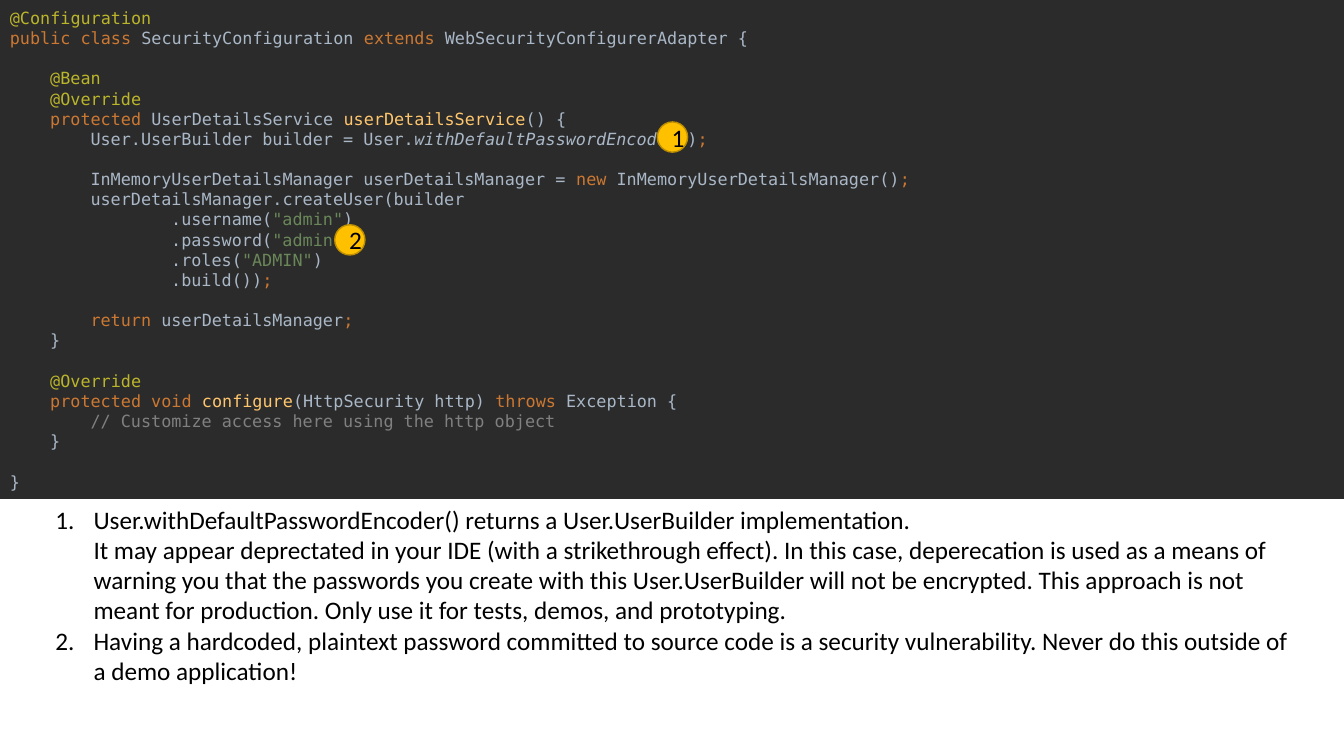
"""Build a slide that explains a security configuration class in two notes."""
import lxml.etree
import pptx
import pptx.dml.color
import pptx.enum.shapes
import pptx.enum.text
import pptx.oxml.ns
import pptx.util

Inches = pptx.util.Inches
Pt = pptx.util.Pt

COLORS = {
    "editor": "2B2B2B", "annotation": "BBB529", "keyword": "CC7832",
    "plain": "A9B7C6", "method": "FFC66D", "string": "6A8759",
    "comment": "808080", "badge": "FFC000", "badge_line": "BD8E00",
    "black": "000000",
}
CODE_FONT, BODY_FONT = "DejaVu Sans Mono", "Calibri"
CODE_LINE = Pt(14.4)
CODE_TAB = 0.4


def rgb(name):
    return pptx.dml.color.RGBColor.from_string(COLORS[name])


def add_text(para, text, font=BODY_FONT, size=18, color="black", italic=False):
    span = para.add_run()
    span.text = text
    span.font.name = font
    span.font.size = Pt(size)
    span.font.italic = italic
    span.font.color.rgb = rgb(color)


def set_indent(para, left, first=0):
    properties = para._p.get_or_add_pPr()
    properties.set("marL", str(Inches(left)))
    properties.set("indent", str(Inches(first)))
    return properties


class SlideWriter:
    def __init__(self, page):
        self.page = page

    def shape(self, kind, left, top, width, height, fill, line=None):
        box = self.page.shapes.add_shape(
            kind, Inches(left), Inches(top), Inches(width), Inches(height))
        box.shadow.inherit = False
        box.fill.solid()
        box.fill.fore_color.rgb = rgb(fill)
        if line:
            box.line.color.rgb = rgb(line)
            box.line.width = Pt(1)
        else:
            box.line.fill.background()
        box.text_frame.word_wrap = True
        box.text_frame.vertical_anchor = pptx.enum.text.MSO_ANCHOR.MIDDLE
        return box.text_frame

    def code(self, left, top, width, height, lines):
        frame = self.shape(pptx.enum.shapes.MSO_SHAPE.RECTANGLE,
                           left, top, width, height, "editor")
        after_gap = False
        para = frame.paragraphs[0]
        for number, line in enumerate(lines):
            if line is None:
                after_gap = True
                continue
            level, *spans = line
            if number:
                para = frame.add_paragraph()
            para.alignment = pptx.enum.text.PP_ALIGN.LEFT
            para.line_spacing = CODE_LINE
            para.space_before = CODE_LINE if after_gap else Pt(0)
            set_indent(para, level * CODE_TAB)
            for color, text in spans:
                italic = color == "static"
                add_text(para, text, font=CODE_FONT, size=12,
                         color="plain" if italic else color, italic=italic)
            after_gap = False

    def badge(self, left, top, label):
        frame = self.shape(pptx.enum.shapes.MSO_SHAPE.OVAL,
                           left, top, 0.3, 0.3, "badge", "badge_line")
        para = frame.paragraphs[0]
        para.alignment = pptx.enum.text.PP_ALIGN.CENTER
        add_text(para, label)

    def numbered_list(self, left, top, width, height, items):
        frame = self.page.shapes.add_textbox(
            Inches(left), Inches(top), Inches(width), Inches(height)).text_frame
        frame.word_wrap = True
        for number, item in enumerate(items):
            para = frame.add_paragraph() if number else frame.paragraphs[0]
            properties = set_indent(para, 0.38, -0.38)
            bullet = lxml.etree.SubElement(
                properties, pptx.oxml.ns.qn("a:buAutoNum"))
            bullet.set("type", "arabicPeriod")
            for row, text in enumerate(item):
                if row:
                    para.add_line_break()
                add_text(para, text)


OVERRIDE = (1, ("annotation", "@Override"))
END_METHOD = (1, ("plain", "}"))
CODE = [
    (0, ("annotation", "@Configuration")),
    (0, ("keyword", "public class "), ("plain", "SecurityConfiguration "),
     ("keyword", "extends "), ("plain", "WebSecurityConfigurerAdapter {")),
    None,
    (1, ("annotation", "@Bean")),
    OVERRIDE,
    (1, ("keyword", "protected "), ("plain", "UserDetailsService "),
     ("method", "userDetailsService"), ("plain", "() {")),
    (2, ("plain", "User.UserBuilder builder = User."),
     ("static", "withDefaultPasswordEncoder"), ("plain", "()"), ("keyword", ";")),
    None,
    (2, ("plain", "InMemoryUserDetailsManager userDetailsManager = "),
     ("keyword", "new "), ("plain", "InMemoryUserDetailsManager()"),
     ("keyword", ";")),
    (2, ("plain", "userDetailsManager.createUser(builder")),
    *[(4, ("plain", f".{call}("), ("string", f'"{value}"'), ("plain", ")"))
      for call, value in (("username", "admin"), ("password", "admin"),
                          ("roles", "ADMIN"))],
    (4, ("plain", ".build())"), ("keyword", ";")),
    None,
    (2, ("keyword", "return "), ("plain", "userDetailsManager"),
     ("keyword", ";")),
    END_METHOD,
    None,
    OVERRIDE,
    (1, ("keyword", "protected void "), ("method", "configure"),
     ("plain", "(HttpSecurity http) "), ("keyword", "throws "),
     ("plain", "Exception {")),
    (2, ("comment", "// Customize access here using the http object")),
    END_METHOD,
    None,
    (0, ("plain", "}")),
]
NOTES = [
    ("User.withDefaultPasswordEncoder() returns a User.UserBuilder "
     "implementation.",
     "It may appear deprectated in your IDE (with a strikethrough effect). "
     "In this case, deperecation is used as a means of warning you that the "
     "passwords you create with this User.UserBuilder will not be encrypted. "
     "This approach is not meant for production. Only use it for tests, "
     "demos, and prototyping."),
    ("Having a hardcoded, plaintext password committed to source code is a "
     "security vulnerability. Never do this outside of a demo application!",),
]

deck = pptx.Presentation()
deck.slide_width, deck.slide_height = Inches(13.33), Inches(7.5)
writer = SlideWriter(deck.slides.add_slide(deck.slide_layouts[6]))
writer.code(0, 0, 13.33, 4.95, CODE)
writer.badge(6.52, 1.21, "1")
writer.badge(3.32, 2.23, "2")
writer.numbered_list(0.45, 4.95, 12.43, 1.92, NOTES)
deck.save("out.pptx")
